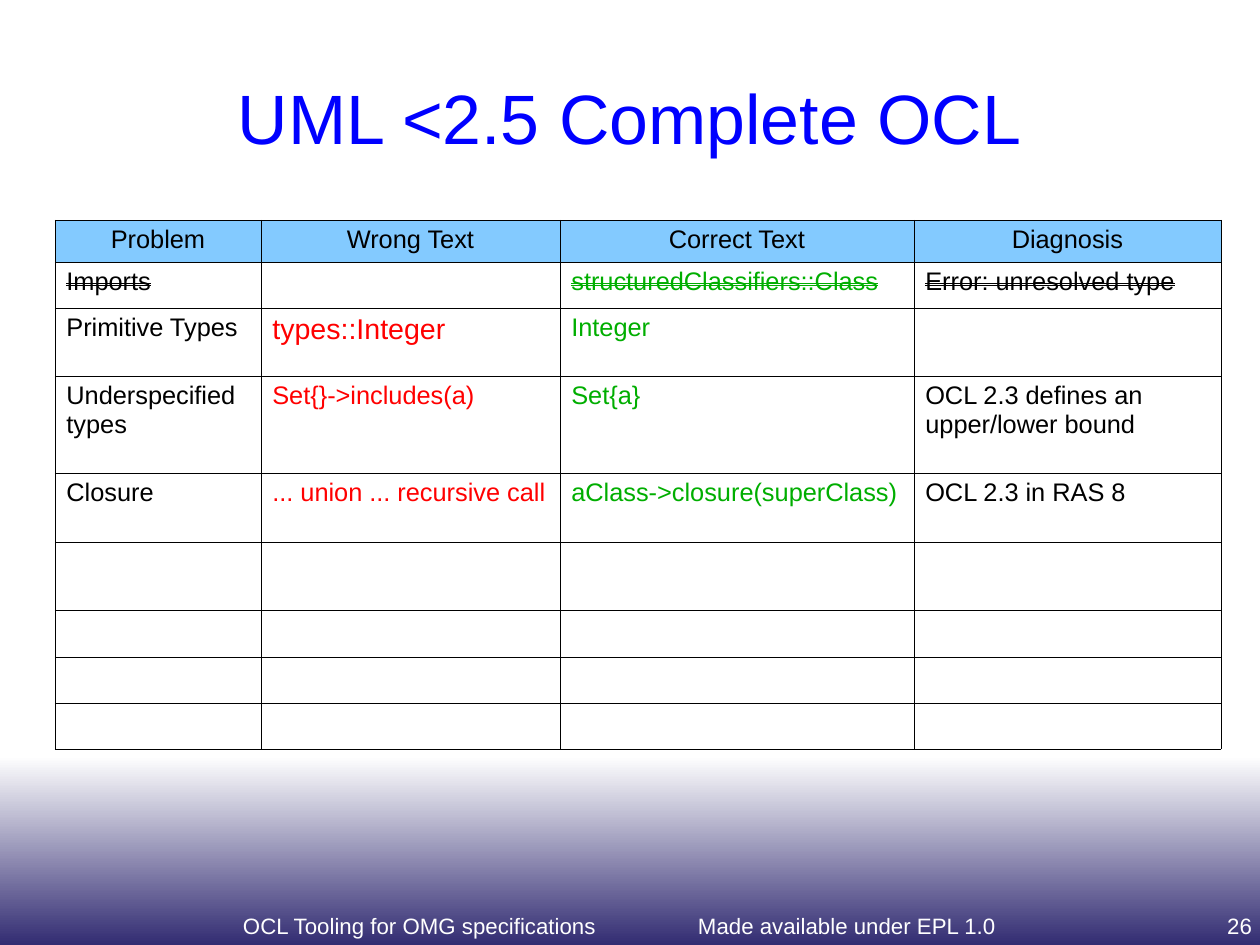
"""Build the slide listing OCL text problems in UML before 2.5."""
import pptx
import pptx.dml.color
import pptx.enum.text
import pptx.util
from lxml import etree

PX = 8000
ALIGN = pptx.enum.text.PP_ALIGN
DRAWING = "http://schemas.openxmlformats.org/drawingml/2006/main"
BLACK, WHITE, RED, GREEN = "000000", "FFFFFF", "FF0000", "00AE00"


def color(value):
    return pptx.dml.color.RGBColor.from_string(value)


def write(frame, text, size, value, align):
    frame.word_wrap = True
    para = frame.paragraphs[0]
    para.text = text
    para.alignment = align
    para.font.name = "Arial"
    para.font.size = pptx.util.Pt(size)
    para.font.color.rgb = color(value)
    return para


deck = pptx.Presentation()
deck.slide_width, deck.slide_height = 1260 * PX, 945 * PX
page = deck.slides.add_slide(deck.slide_layouts[5])

backdrop = page.background.fill
backdrop.gradient()
backdrop.gradient_angle = 270
for stop, position, value in zip(backdrop.gradient_stops, (0.8, 1), (WHITE, "322C72")):
    stop.position = position
    stop.color.rgb = color(value)

title = page.shapes.title
title.left, title.top, title.width, title.height = 63 * PX, 38 * PX, 1134 * PX, 158 * PX
frame = title.text_frame
frame.margin_left = frame.margin_right = frame.margin_top = frame.margin_bottom = 0
frame.vertical_anchor = pptx.enum.text.MSO_ANCHOR.MIDDLE
write(frame, "UML <2.5 Complete OCL", 44, "0000FF", ALIGN.CENTER)

rows = [
    ("Problem", "Wrong Text", "Correct Text", "Diagnosis"),
    ("Imports", "", "structuredClassifiers::Class", "Error: unresolved type"),
    ("Primitive Types", "types::Integer", "Integer", ""),
    ("Underspecified types", "Set{}->includes(a)", "Set{a}",
     "OCL 2.3 defines an upper/lower bound"),
    ("Closure", "... union ... recursive call", "aClass->closure(superClass)",
     "OCL 2.3 in RAS 8"),
] + [("",) * 4] * 4
widths = (206, 299, 354, 307)
heights = (42, 46, 68, 97, 69, 68, 46, 46, 46)
column_colors = (BLACK, RED, GREEN, BLACK)

table = page.shapes.add_table(
    len(rows), len(widths), 55 * PX, 220 * PX, sum(widths) * PX, sum(heights) * PX).table
table.first_row = table.horz_banding = False
for column, width in zip(table.columns, widths):
    column.width = width * PX
for row, height in zip(table.rows, heights):
    row.height = height * PX

for r, texts in enumerate(rows):
    for c, text in enumerate(texts):
        cell = table.cell(r, c)
        header = r == 0
        cell.margin_left = cell.margin_right = pptx.util.Inches(0.1)
        cell.margin_top = cell.margin_bottom = pptx.util.Inches(0.05)
        properties = cell._tc.get_or_add_tcPr()
        for side in ("lnL", "lnR", "lnT", "lnB"):
            line = etree.SubElement(properties, f"{{{DRAWING}}}{side}", w="762")
            solid = etree.SubElement(line, f"{{{DRAWING}}}solidFill")
            etree.SubElement(solid, f"{{{DRAWING}}}srgbClr", val=BLACK)
        cell.fill.solid()
        cell.fill.fore_color.rgb = color("83CAFF" if header else WHITE)
        if text:
            para = write(cell.text_frame, text, 18 if text == "types::Integer" else 16,
                         BLACK if header else column_colors[c],
                         ALIGN.CENTER if header else ALIGN.LEFT)
            if r == 1:
                para.runs[0].font._element.set("strike", "dblStrike")

footers = [
    ("Made available under EPL 1.0", 687, 906, 321, 37, 11, 6, ALIGN.LEFT),
    ("OCL Tooling for OMG specifications", 231, 912, 377, 32, 0, 0, ALIGN.CENTER),
    ("26", 1199, 912, 53, 32, 0, 0, ALIGN.RIGHT),
]
for text, left, top, width, height, side_margin, end_margin, align in footers:
    box = page.shapes.add_textbox(left * PX, top * PX, width * PX, height * PX)
    frame = box.text_frame
    frame.margin_left = frame.margin_right = side_margin * PX
    frame.margin_top = frame.margin_bottom = end_margin * PX
    write(frame, text, 14, WHITE, align)

deck.save("out.pptx")
